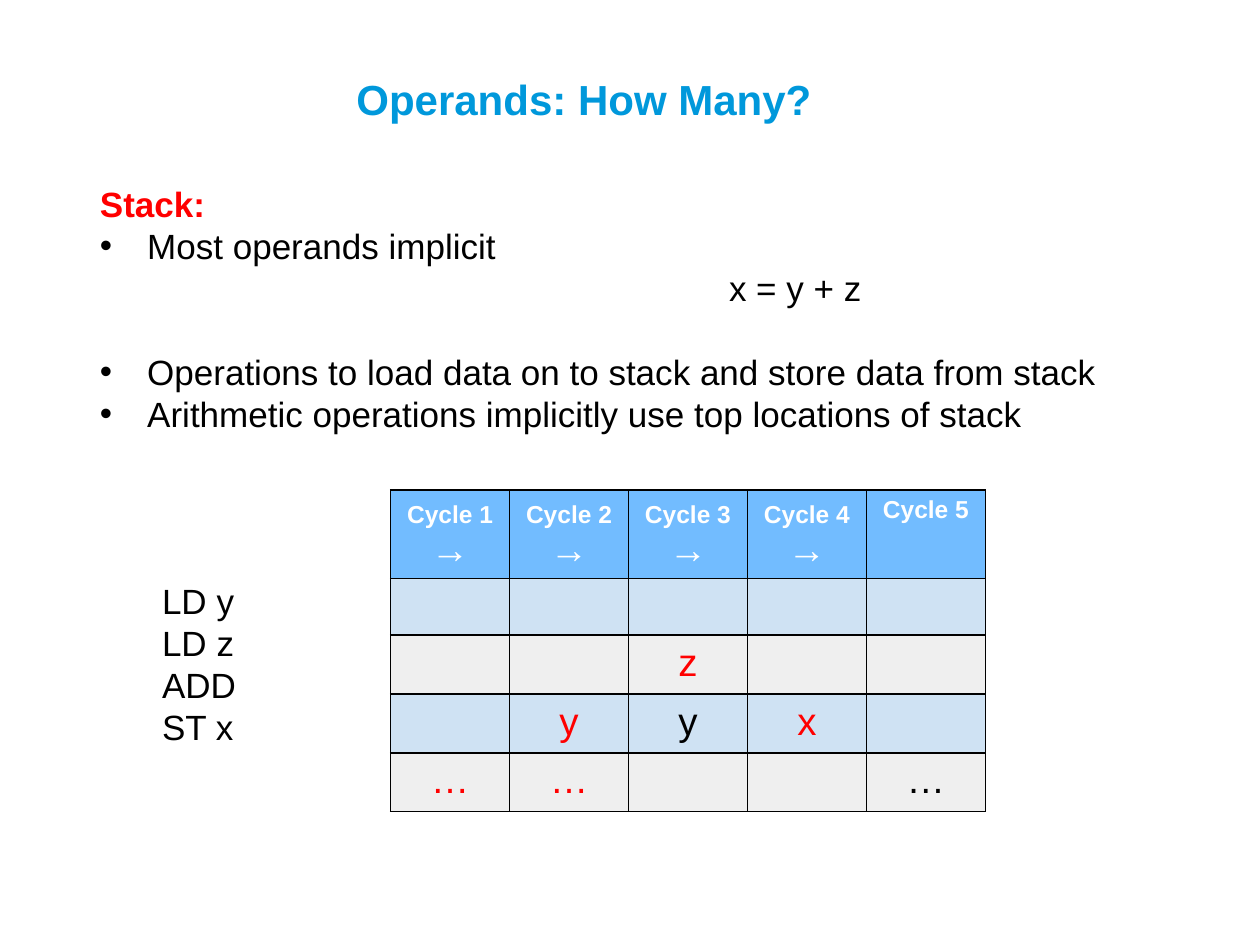
from dataclasses import dataclass, field

from lxml import etree
from pptx import Presentation
from pptx.dml.color import RGBColor
from pptx.enum.text import MSO_ANCHOR, PP_ALIGN
from pptx.oxml.ns import qn
from pptx.util import Pt

TOP, BOTTOM = MSO_ANCHOR.TOP, MSO_ANCHOR.BOTTOM
LEFT, CENTER = PP_ALIGN.LEFT, PP_ALIGN.CENTER

BLACK, WHITE, RED = "000000", "FFFFFF", "FF0000"
TITLE_BLUE, HEADER_BLUE = "0098DB", "72BCFF"
STRIPES = ("CFE2F3", "EFEFEF")


@dataclass(frozen=True)
class Line:
    text: str
    size: float = 20
    color: str = BLACK
    bold: bool = False
    margin: float = 0
    bullet: bool = False
    layout: dict = field(default_factory=dict)


@dataclass(frozen=True)
class Area:
    left: float
    top: float
    width: float
    height: float


def rgb(value: str) -> RGBColor:
    return RGBColor.from_string(value)


def apply(target, values: dict) -> None:
    for name, value in values.items():
        setattr(target, name, value)


def write_lines(frame, lines: list[Line]) -> None:
    for index, line in enumerate(lines):
        paragraph = frame.add_paragraph() if index else frame.paragraphs[0]
        apply(paragraph, line.layout)
        properties = paragraph._p.get_or_add_pPr()
        if line.margin:
            properties.set("marL", str(Pt(line.margin)))
        if line.bullet:
            properties.set("indent", str(-Pt(line.margin)))
            color = etree.SubElement(properties, qn("a:buClr"))
            etree.SubElement(color, qn("a:srgbClr"), val=line.color)
            etree.SubElement(properties, qn("a:buFont"), typeface="Arial")
            etree.SubElement(properties, qn("a:buChar"), char="•")
        run = paragraph.add_run()
        run.text = line.text
        apply(run.font, {"name": "Arial", "size": Pt(line.size), "bold": line.bold})
        run.font.color.rgb = rgb(line.color)


def add_text(slide, area: Area, lines: list[Line], settings: dict) -> None:
    box = slide.shapes.add_textbox(
        Pt(area.left), Pt(area.top), Pt(area.width), Pt(area.height)
    )
    apply(box.text_frame, {"word_wrap": True, **settings})
    write_lines(box.text_frame, lines)


def add_borders(cell) -> None:
    properties = cell._tc.get_or_add_tcPr()
    for position, side in enumerate(("lnL", "lnR", "lnT", "lnB")):
        border = etree.Element(qn(f"a:{side}"), w=str(Pt(1)))
        fill = etree.SubElement(border, qn("a:solidFill"))
        etree.SubElement(fill, qn("a:srgbClr"), val=BLACK)
        properties.insert(position, border)


def fill_cell(cell, fill: str, lines: list[Line], anchor) -> None:
    apply(cell, {
        "margin_left": Pt(7.2), "margin_right": Pt(7.2),
        "margin_top": Pt(3.6), "margin_bottom": Pt(3.6),
        "vertical_anchor": anchor,
    })
    cell.fill.solid()
    cell.fill.fore_color.rgb = rgb(fill)
    add_borders(cell)
    write_lines(cell.text_frame, lines)


def add_stack_table(slide, cycles: int, contents: list[dict[int, Line]]) -> None:
    column_width, header_height, row_height = 68, 48, 32.5
    table = slide.shapes.add_table(
        len(contents) + 1, cycles, Pt(223.2), Pt(280),
        Pt(column_width * cycles), Pt(header_height + row_height * len(contents)),
    ).table
    for column in table.columns:
        column.width = Pt(column_width)
    for index, row in enumerate(table.rows):
        row.height = Pt(row_height if index else header_height)

    centered = {"alignment": CENTER}
    for column in range(cycles):
        heading = [Line(f"Cycle {column + 1}", 14, WHITE, True, layout=centered)]
        is_last = column == cycles - 1
        if not is_last:
            heading.append(Line("→", 22, WHITE, True, layout=centered))
        fill_cell(table.cell(0, column), HEADER_BLUE, heading, TOP if is_last else BOTTOM)
        for row, entries in enumerate(contents):
            lines = [entries[column]] if column in entries else []
            fill_cell(table.cell(row + 1, column), STRIPES[row % 2], lines, TOP)


def entry(text: str, color: str = RED) -> Line:
    return Line(text, 22, color, layout={"alignment": CENTER})


def main() -> None:
    deck = Presentation()
    apply(deck, {"slide_width": Pt(720), "slide_height": Pt(540)})
    slide = deck.slides.add_slide(deck.slide_layouts[6])

    pitch = {"line_spacing": Pt(24), "alignment": LEFT}
    bullet = {"margin": 27, "bullet": True, "layout": pitch}
    after_gap = {**pitch, "space_before": Pt(24)}
    program_start = {**pitch, "space_before": Pt(83)}
    explanation = [
        Line("Stack:", color=RED, bold=True, layout=pitch),
        Line("Most operands implicit", **bullet),
        Line("x = y + z", margin=359.5, layout=pitch),
        Line("Operations to load data on to stack and store data from stack",
             **{**bullet, "layout": after_gap}),
        Line("Arithmetic operations implicitly use top locations of stack", **bullet),
    ]
    program = [
        Line(instruction, margin=35.5, layout=pitch if index else program_start)
        for index, instruction in enumerate(("LD y", "LD z", "ADD", "ST x"))
    ]
    add_text(slide, Area(50, 97.2, 649, 145.5), explanation + program,
             {"margin_top": Pt(7), "vertical_anchor": TOP})
    add_text(slide, Area(196.6, 36.7, 407.5, 37.5),
             [Line("Operands: How Many?", 24, TITLE_BLUE, True)],
             {"vertical_anchor": BOTTOM})

    add_stack_table(slide, 5, [
        {},
        {2: entry("z")},
        {1: entry("y"), 2: entry("y", BLACK), 3: entry("x")},
        {0: entry("…"), 1: entry("…"), 4: entry("…", BLACK)},
    ])
    deck.save("out.pptx")


if __name__ == "__main__":
    main()
